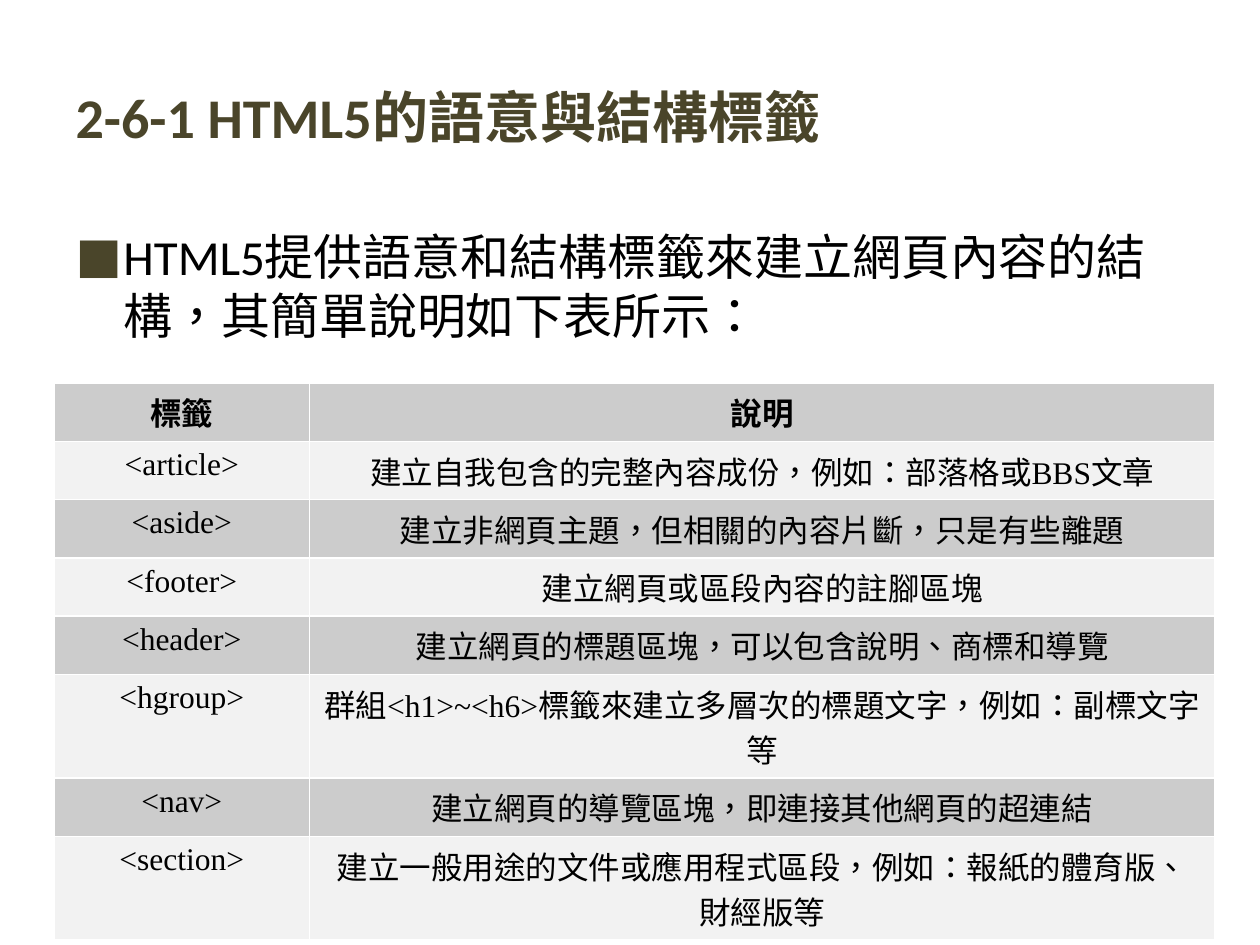
from dataclasses import dataclass

from lxml import etree
from pptx import Presentation
from pptx import util as u
from pptx.dml.color import RGBColor
from pptx.enum import lang, text
from pptx.oxml import ns


@dataclass(frozen=True)
class Theme:
    heading: str = "4A452A"
    ink: str = "000000"
    dark_band: str = "CCCCCC"
    light_band: str = "F2F2F2"
    rule: str = "FFFFFF"
    rule_width: float = 0.96
    sans: str = "Calibri"
    serif: str = "Times New Roman"
    title_size: int = 32
    body_size: int = 28
    table_size: int = 18


THEME = Theme()
ROWS = [
    ("標籤", "說明"),
    ("<article>", "建立自我包含的完整內容成份，例如：部落格或BBS文章"),
    ("<aside>", "建立非網頁主題，但相關的內容片斷，只是有些離題"),
    ("<footer>", "建立網頁或區段內容的註腳區塊"),
    ("<header>", "建立網頁的標題區塊，可以包含說明、商標和導覽"),
    ("<hgroup>", "群組<h1>~<h6>標籤來建立多層次的標題文字，例如：副標文字等"),
    ("<nav>", "建立網頁的導覽區塊，即連接其他網頁的超連結"),
    ("<section>", "建立一般用途的文件或應用程式區段，例如：報紙的體育版、財經版等"),
]
TALL_ROWS = ("<hgroup>", "<section>")


def add_element(parent, tag, **attributes):
    return etree.SubElement(parent, ns.qn(tag), attributes)


def write_text(frame, words, *, size, font, color, bold=False, align=None):
    paragraph = frame.paragraphs[0]
    paragraph.alignment = align
    run = paragraph.add_run()
    run.text = words
    run.font.size = u.Pt(size)
    run.font.name = font
    run.font.bold = bold
    run.font.color.rgb = RGBColor.from_string(color)
    run.font.language_id = lang.MSO_LANGUAGE_ID.TRADITIONAL_CHINESE
    return paragraph


def place(shape, box):
    shape.left, shape.top, shape.width, shape.height = (u.Inches(n) for n in box)
    shape.text_frame.word_wrap = True
    shape.text_frame.auto_size = text.MSO_AUTO_SIZE.NONE


def fill_title(title, box, words):
    place(title, box)
    title.text_frame.vertical_anchor = text.MSO_ANCHOR.MIDDLE
    write_text(title.text_frame, words, size=THEME.title_size, font=THEME.sans,
               color=THEME.heading, bold=True, align=text.PP_ALIGN.LEFT)


def fill_body(body, box, words):
    place(body, box)
    paragraph = write_text(body.text_frame, words, size=THEME.body_size,
                           font=THEME.sans, color=THEME.ink)
    paragraph.space_before = u.Pt(0)
    properties = paragraph._p.get_or_add_pPr()
    indent = u.Inches(0.38)
    properties.set("marL", str(indent))
    properties.set("indent", str(-indent))
    bullet_color = add_element(properties, "a:buClr")
    add_element(bullet_color, "a:srgbClr", val=THEME.heading)
    add_element(properties, "a:buFont", typeface=THEME.sans)
    add_element(properties, "a:buChar", char="■")


def format_cell(cell, band):
    properties = cell._tc.get_or_add_tcPr()
    for side in ("a:lnL", "a:lnR", "a:lnT", "a:lnB"):
        line = add_element(properties, side, w=str(u.Pt(THEME.rule_width)))
        fill = add_element(line, "a:solidFill")
        add_element(fill, "a:srgbClr", val=THEME.rule)
    cell.fill.solid()
    cell.fill.fore_color.rgb = RGBColor.from_string(band)


def add_tag_table(slide, box, rows):
    left, top, width, height = (u.Inches(n) for n in box)
    table = slide.shapes.add_table(len(rows), 2, left, top, width, height).table
    for column, share in zip(table.columns, (0.22, 0.78)):
        column.width = int(width * share)
    for index, values in enumerate(rows):
        table.rows[index].height = u.Inches(0.7 if values[0] in TALL_ROWS else 0.4)
        band = THEME.light_band if index % 2 else THEME.dark_band
        for column, words in enumerate(values):
            cell = table.cell(index, column)
            format_cell(cell, band)
            write_text(cell.text_frame, words, size=THEME.table_size,
                       font=THEME.serif, color=THEME.ink, bold=index == 0,
                       align=text.PP_ALIGN.CENTER)


def main():
    presentation = Presentation()
    presentation.slide_width = u.Inches(10)
    presentation.slide_height = u.Inches(7.5)
    slide = presentation.slides.add_slide(presentation.slide_layouts[1])
    title, body = slide.placeholders
    fill_title(title, (0.5, 0.3, 9, 1.25), "2-6-1 HTML5的語意與結構標籤")
    fill_body(body, (0.5, 1.75, 9, 4.95),
              "HTML5提供語意和結構標籤來建立網頁內容的結構，其簡單說明如下表所示：")
    add_tag_table(slide, (0.43, 3.04, 9.21, 3.8), ROWS)
    presentation.save("out.pptx")


if __name__ == "__main__":
    main()
